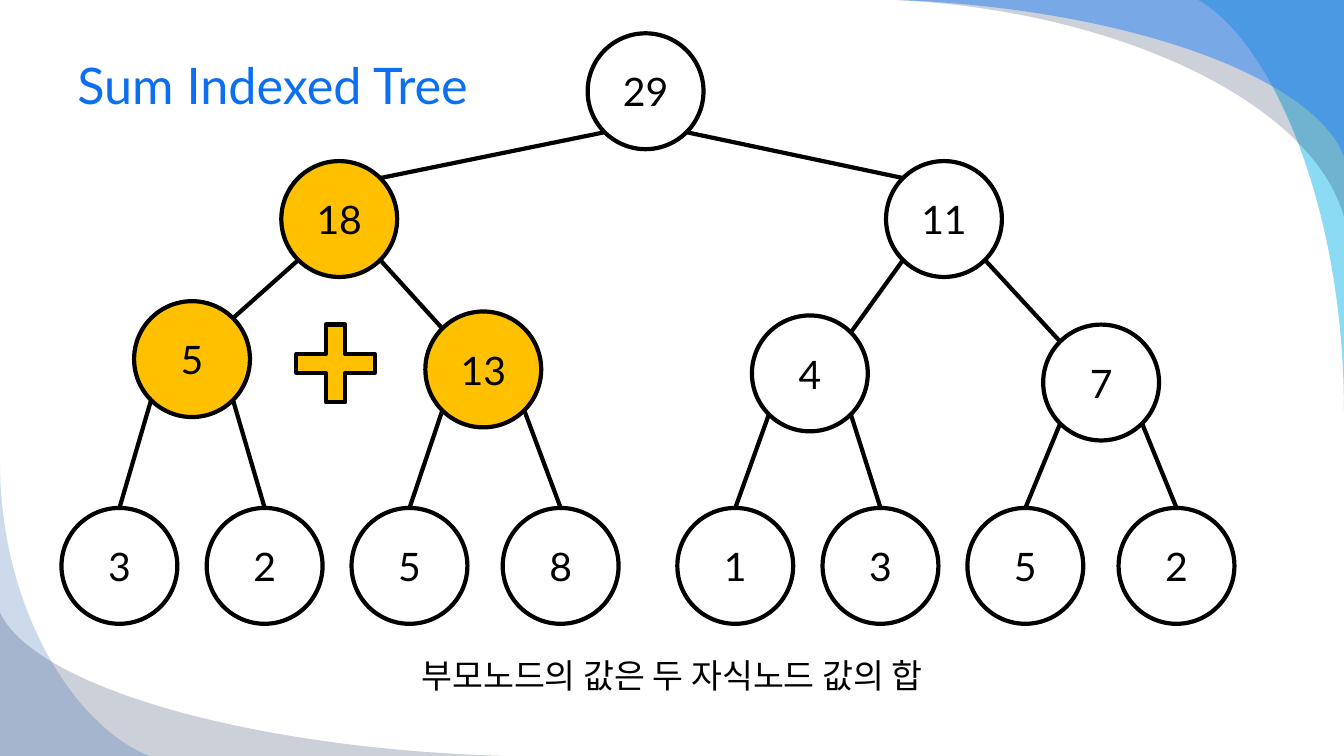
from dataclasses import dataclass
from math import sqrt

import pptx
import pptx.dml.color
import pptx.enum.shapes
import pptx.enum.text
import pptx.oxml.ns
import pptx.util
from lxml import etree

Cm = pptx.util.Cm
Pt = pptx.util.Pt
RGBColor = pptx.dml.color.RGBColor
Shape = pptx.enum.shapes.MSO_SHAPE
Align = pptx.enum.text.PP_ALIGN
Anchor = pptx.enum.text.MSO_ANCHOR

WHITE = RGBColor(0xFF, 0xFF, 0xFF)
BLACK = RGBColor(0x00, 0x00, 0x00)
GOLD = RGBColor(0xFF, 0xC0, 0x00)
BLUE = RGBColor(0x0C, 0x6F, 0xF2)
AQUA = RGBColor(0x00, 0xB1, 0xE9)
NAVY = RGBColor(0x02, 0x17, 0x41)
AZURE = RGBColor(0x24, 0x7F, 0xF4)
DENIM = RGBColor(0x08, 0x4A, 0xA1)

FONT = "Lato"
WIDE, HIGH = 33.87, 19.05
SIZE = 2.92
STROKE = Pt(3)
STEPS = 40
BROAD = ((0.5, 0.05), (0.93, 0.48))
STEEP = ((0.5, 0.1), (1, 0.5))


@dataclass
class Wave:
    right: float
    base: float
    start: float
    end: float
    bend: tuple
    color: RGBColor
    alpha: int


@dataclass
class Node:
    value: int
    left: float
    top: float
    fill: RGBColor = WHITE
    kids: tuple = ()

    def point(self, across: int, down: int) -> tuple[float, float]:
        reach = SIZE / 2 / sqrt(across ** 2 + down ** 2)
        return (self.left + SIZE / 2 + across * reach,
                self.top + SIZE / 2 + down * reach)


def bezier(one: float, two: float, t: float) -> float:
    return 3 * (1 - t) ** 2 * t * one + 3 * (1 - t) * t ** 2 * two + t ** 3


def draw_wave(slide, wave: Wave) -> None:
    (ax, ay), (bx, by) = wave.bend
    curve = []
    for step in range(STEPS + 1):
        t = step / STEPS
        x = wave.start + (wave.right - wave.start) * bezier(ax, bx, t)
        y = wave.base + (wave.end - wave.base) * bezier(ay, by, t)
        curve.append((Cm(x), Cm(y)))
    form = slide.shapes.build_freeform(Cm(wave.right), Cm(wave.base))
    form.add_line_segments(curve, close=True)
    shape = form.convert_to_shape()
    shape.shadow.inherit = False
    shape.line.fill.background()
    shape.fill.solid()
    shape.fill.fore_color.rgb = wave.color
    color = shape.fill._xPr.find(".//" + pptx.oxml.ns.qn("a:srgbClr"))
    alpha = etree.SubElement(color, pptx.oxml.ns.qn("a:alpha"))
    alpha.set("val", str(wave.alpha * 1000))


def write(shape, text: str, size: int, color: RGBColor, align: Align) -> None:
    par = shape.text_frame.paragraphs[0]
    par.text = text
    par.alignment = align
    par.font.name = FONT
    par.font.size = Pt(size)
    par.font.color.rgb = color


def add_text(slide, box: tuple, text: str, size: int, color: RGBColor,
             align: Align, anchor: Anchor):
    label = slide.shapes.add_textbox(*map(Cm, box))
    label.text_frame.word_wrap = True
    label.text_frame.vertical_anchor = anchor
    write(label, text, size, color, align)
    return label


def add_solid(slide, kind: Shape, box: tuple, fill: RGBColor):
    shape = slide.shapes.add_shape(kind, *map(Cm, box))
    shape.shadow.inherit = False
    shape.fill.solid()
    shape.fill.fore_color.rgb = fill
    shape.line.color.rgb = BLACK
    shape.line.width = STROKE
    return shape


def link(slide, node: Node, kid: Node, side: int) -> None:
    head = kid.point(-side if kid.kids else 0, -1)
    tail = node.point(side, 1)
    line = slide.shapes.add_connector(
        pptx.enum.shapes.MSO_CONNECTOR.STRAIGHT, *map(Cm, head + tail))
    line.line.color.rgb = BLACK
    line.line.width = STROKE
    etree.SubElement(line._element.spPr, pptx.oxml.ns.qn("a:effectLst"))


def draw_tree(slide, node: Node) -> None:
    ball = add_solid(slide, Shape.OVAL, (node.left, node.top, SIZE, SIZE),
                     node.fill)
    ball.text_frame.vertical_anchor = Anchor.MIDDLE
    write(ball, str(node.value), 28, BLACK, Align.CENTER)
    for kid, side in zip(node.kids, (-1, 1)):
        draw_tree(slide, kid)
        link(slide, node, kid, side)


WAVES = (
    Wave(WIDE, 0, 30.2, 10.36, STEEP, AQUA, 45),
    Wave(WIDE, 0, 22.58, 5.46, BROAD, NAVY, 20),
    Wave(WIDE, 0, 22.58, 3.94, BROAD, AZURE, 49),
    Wave(0, HIGH, 12.7, 15.44, BROAD, NAVY, 20),
    Wave(0, HIGH, 3.76, 11.63, STEEP, DENIM, 20),
)

SPOTS = [half + left for half in (0, 15.52)
         for left in (1.55, 5.21, 8.86, 12.67)]
LEAVES = [Node(value, left, 12.8)
          for value, left in zip((3, 2, 5, 8, 1, 3, 5, 2), SPOTS)]
PAIRS = list(zip(LEAVES[::2], LEAVES[1::2]))
TREE = Node(29, 14.81, 0.84, WHITE, (
    Node(18, 7.09, 4.06, GOLD, (
        Node(5, 3.38, 7.59, GOLD, PAIRS[0]),
        Node(13, 10.72, 7.85, GOLD, PAIRS[1]))),
    Node(11, 22.33, 4.06, WHITE, (
        Node(4, 18.95, 7.95, WHITE, PAIRS[2]),
        Node(7, 26.29, 8.18, WHITE, PAIRS[3])))))

deck = pptx.Presentation()
deck.slide_width, deck.slide_height = Cm(WIDE), Cm(HIGH)
slide = deck.slides.add_slide(deck.slide_layouts[6])

for wave in WAVES:
    draw_wave(slide, wave)
add_text(slide, (1.7, 0.84, 30.48, 2.57), "Sum Indexed Tree", 36, BLUE,
         Align.LEFT, Anchor.MIDDLE)
draw_tree(slide, TREE)
note = add_text(slide, (0, 16.38, WIDE, 1.5), "부모노드의 값은 두 자식노드 값의 합",
                24, BLACK, Align.CENTER, Anchor.TOP)
note.text_frame.paragraphs[0].space_before = Pt(4.8)
plus = add_solid(slide, Shape.CROSS, (7.47, 8.18, 1.98, 1.96), GOLD)
plus.adjustments[0] = 0.38

deck.save("out.pptx")
